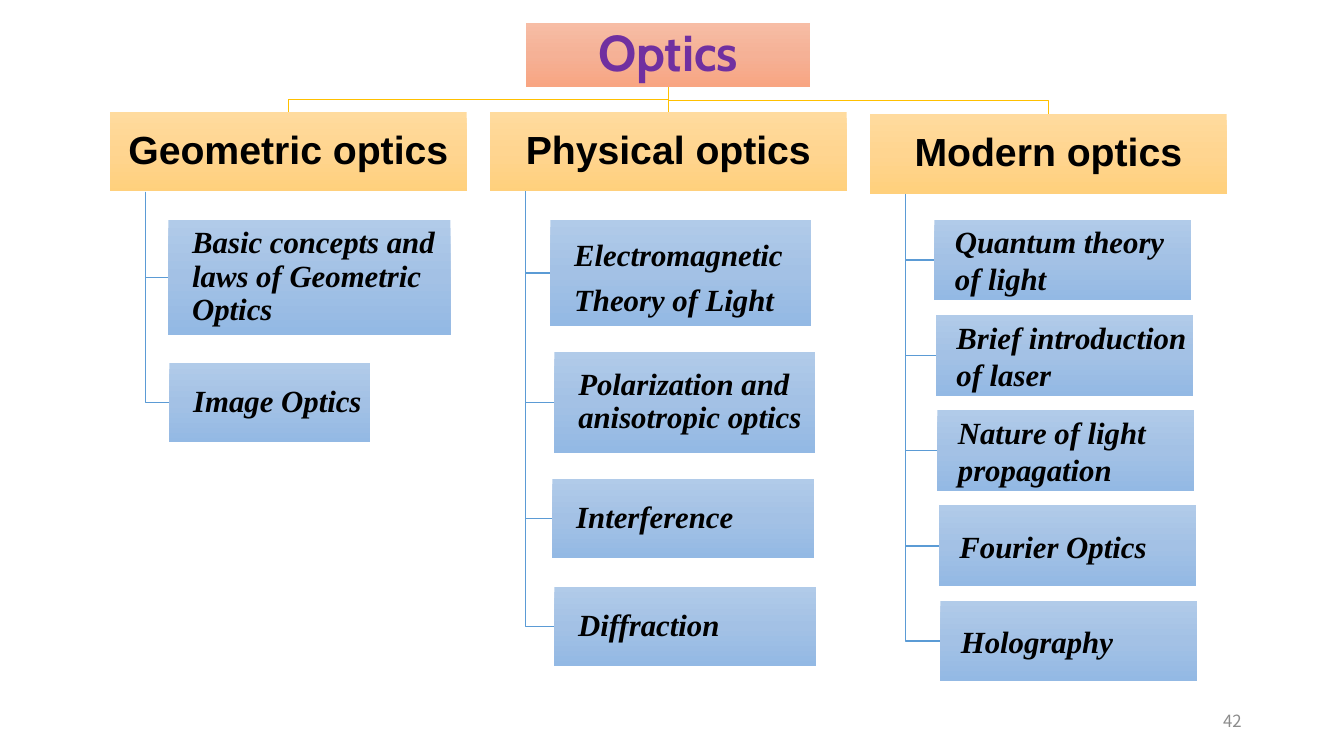
import copy
from dataclasses import dataclass

import pptx
import pptx.dml.color
import pptx.enum.shapes
import pptx.enum.text
import pptx.oxml.ns
import pptx.util
from lxml import etree

ALIGN = pptx.enum.text.PP_ALIGN
ANCHOR = pptx.enum.text.MSO_ANCHOR
RECT = pptx.enum.shapes.MSO_SHAPE.RECTANGLE
STRAIGHT = pptx.enum.shapes.MSO_CONNECTOR.STRAIGHT


@dataclass(frozen=True)
class Theme:
    # Gradients run from top to bottom
    root_fill: tuple = ("F7BDA5", "F5B196", "F8A582")
    head_fill: tuple = ("FFDB9E", "FFD590", "FFD07C")
    topic_fill: tuple = ("B1CBE9", "A3C1E5", "93B9E4")
    root_line: str = "FFC000"
    topic_line: str = "5B9BD5"
    line_pt: float = 1
    root_text: tuple = ("Cabin", 36, "7030A0")
    head_text: tuple = ("Arial", 28, "000000")
    topic_text: tuple = ("Times New Roman", 22, "000000")
    number_text: tuple = ("Noto Sans CJK SC", 12, "8C8C8C")


THEME = Theme()

# The slide is a grid of 160 columns and 90 rows of square cells
COLS, ROWS = 160, 90
WIDTH, HEIGHT = pptx.util.Inches(13.33), pptx.util.Inches(7.5)

ROOT = (62.64, 2.76, 33.84, 7.56)
HEAD_LEFT, HEAD_PITCH = 13.08, 45.24
HEAD_W, HEAD_H = 42.48, 9.48
TRUNK = 0.1  # share of a heading's width
NUMBER = (113.04, 83.4, 36, 4.8)

# heading, top row, left indent of text, line spacing, topics
# topic: text, columns right of the heading, top row, width, height
BRANCHES = [
    ("Geometric optics", 13.32, 2.6, 0.9, [
        ("Basic concepts and laws of Geometric Optics", 6.96, 26.16, 33.6, 13.68),
        ("Image Optics", 7.08, 43.2, 23.88, 9.48),
    ]),
    ("Physical optics", 13.32, 2.6, 0.9, [
        ("Electromagnetic Theory of Light", 7.2, 26.16, 31.08, 12.72),
        ("Polarization and anisotropic optics", 7.68, 41.88, 31.08, 12),
        ("Interference", 7.44, 57, 31.2, 9.48),
        ("Diffraction", 7.68, 69.84, 31.2, 9.48),
    ]),
    ("Modern optics", 13.56, 2.2, 1.0, [
        (text, 7.68 + 0.18 * i, 26.16 + 11.34 * i, 30.6, 9.6)
        for i, text in enumerate([
            "Quantum theory of light", "Brief introduction of laser",
            "Nature of light propagation", "Fourier Optics", "Holography"])
    ]),
]
LOOSE_SPACING = {"Electromagnetic Theory of Light": 1.2}


def col(n):
    return round(WIDTH * n / COLS)


def row(n):
    return round(HEIGHT * n / ROWS)


def rgb(value):
    return pptx.dml.color.RGBColor.from_string(value)


def write(sp, text, *, style, align=ALIGN.LEFT, bold=False, italic=False,
          spacing=1.0, inset=0.24, indent=0):
    tf = sp.text_frame
    tf.word_wrap = True
    tf.vertical_anchor = ANCHOR.MIDDLE
    tf.margin_left = col(inset + indent)
    tf.margin_right = col(inset)
    tf.margin_top = tf.margin_bottom = row(inset)
    p = tf.paragraphs[0]
    p.alignment, p.line_spacing = align, spacing
    r = p.add_run()
    r.text = text
    font, size, color = style
    r.font.name, r.font.size = font, pptx.util.Pt(size)
    r.font.bold, r.font.italic = bold, italic
    r.font.color.rgb = rgb(color)


def panel(s, box, colors):
    x, y, w, h = box
    sp = s.shapes.add_shape(RECT, col(x), row(y), col(w), row(h))
    sp.shadow.inherit = False
    sp.line.fill.background()
    sp.fill.gradient()
    sp.fill.gradient_angle = 270
    # A third stop between the two default ones
    stops = sp._element.spPr.xpath(".//a:gsLst")[0]
    stops.insert(1, copy.deepcopy(stops[0]))
    for i, (stop, color) in enumerate(zip(sp.fill.gradient_stops, colors)):
        stop.position = i / 2
        stop.color.rgb = rgb(color)
    return sp


def link(s, points, color):
    points = [(col(x), row(y)) for x, y in points]
    if len(points) == 2:
        sp = s.shapes.add_connector(STRAIGHT, *points[0], *points[1])
        etree.SubElement(sp._element.spPr, pptx.oxml.ns.qn("a:effectLst"))
    else:
        builder = s.shapes.build_freeform(*points[0])
        builder.add_line_segments(points[1:], close=False)
        sp = builder.convert_to_shape()
        sp.fill.background()
        sp.shadow.inherit = False
    sp.line.color.rgb = rgb(color)
    sp.line.width = pptx.util.Pt(THEME.line_pt)


def draw_root(s, box, heads):
    x, y, w, h = box
    center, bottom = x + w / 2, y + h
    # Links down to the headings
    for hx, hy, hw, _ in heads:
        end, middle = hx + hw / 2, (bottom + hy) / 2
        bend = [] if col(end) == col(center) else [(center, middle), (end, middle)]
        link(s, [(center, bottom), *bend, (end, hy)], THEME.root_line)
    write(panel(s, box, THEME.root_fill), "Optics", style=THEME.root_text,
          align=ALIGN.CENTER, bold=True, spacing=0.9, inset=0.36)


def draw_branch(s, box, title, indent, spacing, topics):
    x, y, w, h = box
    trunk, bottom = x + w * TRUNK, y + h
    # Links to the topics
    for _, dx, top, _, height in topics:
        middle = top + height / 2
        link(s, [(trunk, bottom), (trunk, middle), (x + dx, middle)], THEME.topic_line)
    # Heading
    write(panel(s, box, THEME.head_fill), title, style=THEME.head_text,
          align=ALIGN.CENTER, bold=True, spacing=0.9)
    # Topics
    for text, dx, top, width, height in topics:
        sp = panel(s, (x + dx, top, width, height), THEME.topic_fill)
        write(sp, text, style=THEME.topic_text, bold=True, italic=True,
              spacing=LOOSE_SPACING.get(text, spacing), indent=indent)


def draw_number(s, box):
    x, y, w, h = box
    sp = s.shapes.add_textbox(col(x), row(y), col(w), row(h))
    write(sp, "42", style=THEME.number_text, align=ALIGN.RIGHT, inset=1.2)


def main():
    prs = pptx.Presentation()
    prs.slide_width, prs.slide_height = WIDTH, HEIGHT
    s = prs.slides.add_slide(prs.slide_layouts[6])
    heads = [(HEAD_LEFT + i * HEAD_PITCH, branch[1], HEAD_W, HEAD_H)
             for i, branch in enumerate(BRANCHES)]
    draw_root(s, ROOT, heads)
    for box, (title, _, indent, spacing, topics) in zip(heads, BRANCHES):
        draw_branch(s, box, title, indent, spacing, topics)
    draw_number(s, NUMBER)
    prs.save("out.pptx")


if __name__ == "__main__":
    main()
